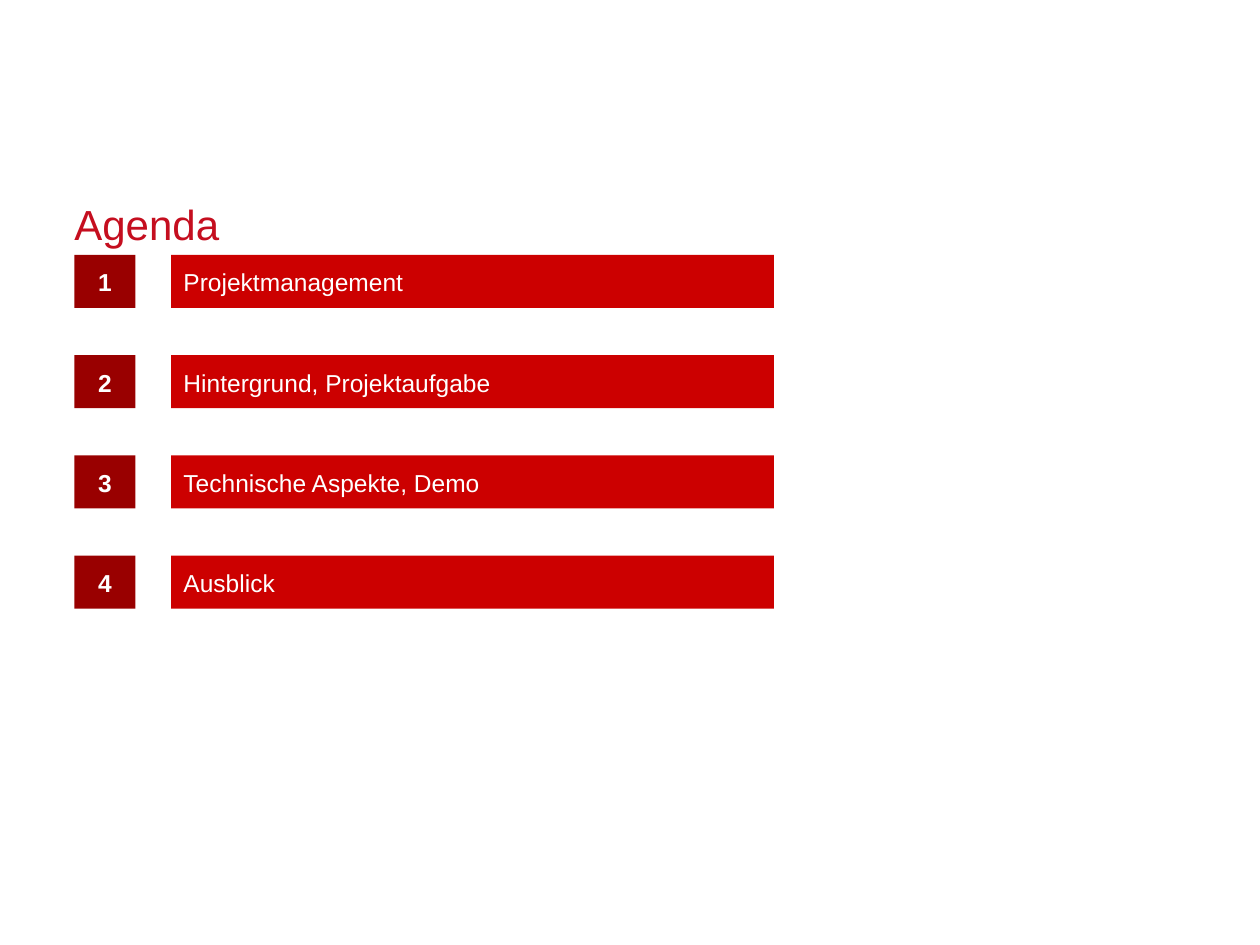
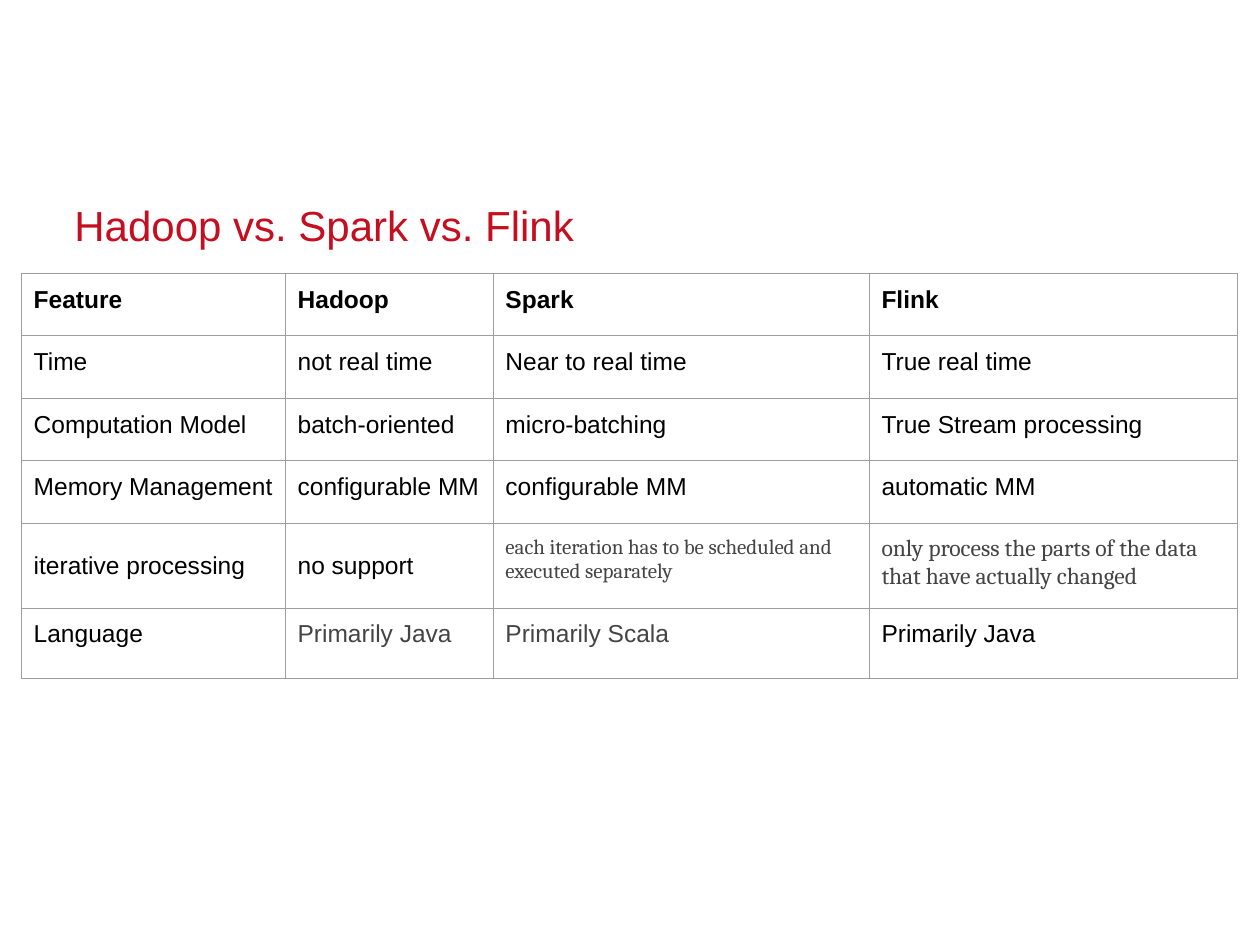
from lxml.etree import SubElement
from pptx import Presentation
from pptx.dml.color import RGBColor
from pptx.enum.shapes import MSO_SHAPE
from pptx.enum.text import MSO_ANCHOR, PP_ALIGN
from pptx.oxml import parse_xml
from pptx.oxml.ns import nsdecls, qn
from pptx.util import Cm, Pt

# Content
AGENDA_TITLE = "Agenda"
AGENDA = [
    "Projektmanagement",
    "Hintergrund, Projektaufgabe",
    "Technische Aspekte, Demo",
    "Ausblick",
]
COMPARISON_TITLE = "Hadoop vs. Spark vs. Flink"
COMPARISON = [
    ["Feature", "Hadoop", "Spark", "Flink"],
    ["Time", "not real time", "Near to real time", "True real time"],
    ["Computation Model", "batch-oriented", "micro-batching", "True Stream processing"],
    ["Memory Management", "configurable MM", "configurable MM", "automatic MM"],
    ["iterative processing", "no support",
     "each iteration has to be scheduled and executed separately",
     "only process the parts of the data that have actually changed"],
    ["Language", "Primarily Java", "Primarily Scala", "Primarily Java"],
]

# Shared look
FONT, QUOTE_FONT = "Arial", "Cambria"
TITLE_RED, NUMBER_RED, BAR_RED = "C50E1F", "990000", "CC0000"
BLACK, WHITE, DARK_GREY, BORDER_GREY = "000000", "FFFFFF", "444444", "9E9E9E"
LEFT = 1.5
INSET = 0.25

# Agenda grid and table grid, in cm
AGENDA_TOP, AGENDA_PITCH, BAR_HEIGHT = 5.14, 2.02, 1.07
NUMBER_WIDTH, BAR_LEFT, BAR_WIDTH = 1.23, 3.45, 12.15
TABLE_LEFT, TABLE_TOP = 0.43, 5.51
COLUMN_WIDTHS = [5.32, 4.19, 7.58, 7.42]
ROW_HEIGHTS = [1.26, 1.26, 1.26, 1.26, 1.71, 1.41]

# Cells that differ from the plain table text: (row, column) -> font, size, colour
SPECIAL_CELLS = {
    (4, 2): (QUOTE_FONT, 12, DARK_GREY),
    (4, 3): (QUOTE_FONT, 13.5, DARK_GREY),
    (5, 1): (FONT, 14, DARK_GREY),
    (5, 2): (FONT, 14, DARK_GREY),
}
MIDDLE_CELLS = {(4, 0), (4, 1)}


def color(hex_string):
    return RGBColor.from_string(hex_string)


def write(frame, text, font=FONT, size=14, ink=BLACK, bold=False, align=PP_ALIGN.LEFT):
    paragraph = frame.paragraphs[0]
    paragraph.text = text
    paragraph.alignment = align
    paragraph.font.name = font
    paragraph.font.size = Pt(size)
    paragraph.font.bold = bold
    paragraph.font.color.rgb = color(ink)
    return paragraph


def set_margins(holder, inset):
    holder.margin_left = holder.margin_right = Cm(inset)
    holder.margin_top = holder.margin_bottom = Cm(inset)


def add_slide(presentation, title, title_top):
    slide = presentation.slides.add_slide(presentation.slide_layouts[6])
    frame = slide.shapes.add_textbox(Cm(LEFT), Cm(title_top), Cm(22.4), Cm(1.07)).text_frame
    frame.word_wrap = True
    frame.vertical_anchor = MSO_ANCHOR.BOTTOM
    set_margins(frame, 0)
    write(frame, title, size=24, ink=TITLE_RED).line_spacing = 1.67
    return slide


def add_bar(slide, left, top, width, fill, text, **style):
    shape = slide.shapes.add_shape(
        MSO_SHAPE.RECTANGLE, Cm(left), Cm(top), Cm(width), Cm(BAR_HEIGHT))
    shape.shadow.inherit = False
    shape.fill.solid()
    shape.fill.fore_color.rgb = color(fill)
    shape.line.fill.background()
    frame = shape.text_frame
    frame.word_wrap = True
    frame.vertical_anchor = MSO_ANCHOR.TOP
    set_margins(frame, INSET)
    write(frame, text, ink=WHITE, **style)


def add_borders(cell):
    properties = cell._tc.get_or_add_tcPr()
    for index, side in enumerate(("lnL", "lnR", "lnT", "lnB")):
        line = parse_xml(f'<a:{side} {nsdecls("a")} w="{Pt(0.75)}"/>')
        fill = SubElement(line, qn("a:solidFill"))
        SubElement(fill, qn("a:srgbClr"), val=BORDER_GREY)
        properties.insert(index, line)


def build_agenda(presentation):
    slide = add_slide(presentation, AGENDA_TITLE, 3.94)
    for index, topic in enumerate(AGENDA):
        top = AGENDA_TOP + index * AGENDA_PITCH
        add_bar(slide, LEFT, top, NUMBER_WIDTH, NUMBER_RED, str(index + 1),
                bold=True, align=PP_ALIGN.CENTER)
        add_bar(slide, BAR_LEFT, top, BAR_WIDTH, BAR_RED, topic)


def build_comparison(presentation):
    slide = add_slide(presentation, COMPARISON_TITLE, 3.97)
    table = slide.shapes.add_table(
        len(ROW_HEIGHTS), len(COLUMN_WIDTHS), Cm(TABLE_LEFT), Cm(TABLE_TOP),
        Cm(sum(COLUMN_WIDTHS)), Cm(sum(ROW_HEIGHTS))).table
    table.first_row = table.horz_banding = False
    for column, width in zip(table.columns, COLUMN_WIDTHS):
        column.width = Cm(width)
    for row, height in zip(table.rows, ROW_HEIGHTS):
        row.height = Cm(height)

    for row, texts in enumerate(COMPARISON):
        for column, text in enumerate(texts):
            cell = table.cell(row, column)
            font, size, ink = SPECIAL_CELLS.get((row, column), (FONT, 14, BLACK))
            middle = (row, column) in MIDDLE_CELLS
            cell.vertical_anchor = MSO_ANCHOR.MIDDLE if middle else MSO_ANCHOR.TOP
            set_margins(cell, INSET)
            cell.fill.background()
            add_borders(cell)
            write(cell.text_frame, text, font, size, ink, bold=row == 0)


def main():
    presentation = Presentation()
    presentation.slide_width, presentation.slide_height = Cm(25.4), Cm(19.05)
    build_agenda(presentation)
    build_comparison(presentation)
    presentation.save("out.pptx")


if __name__ == "__main__":
    main()
